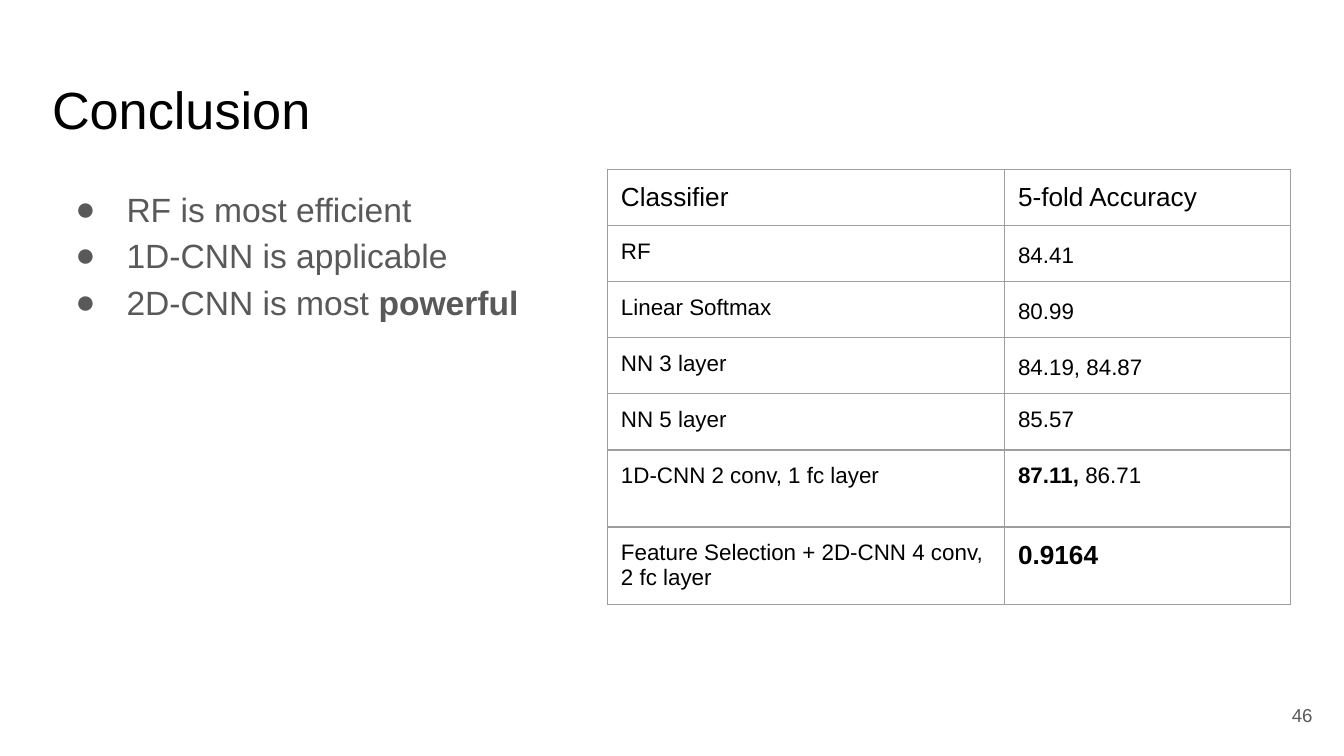
"""Build the conclusion slide with its findings and accuracy table."""
from dataclasses import dataclass
from typing import Any

from lxml import etree
from pptx import Presentation
from pptx.dml.color import RGBColor
from pptx.enum.text import MSO_ANCHOR, MSO_AUTO_SIZE, PP_ALIGN
from pptx.oxml.ns import qn
from pptx.util import Inches, Pt

TOP, MIDDLE = MSO_ANCHOR.TOP, MSO_ANCHOR.MIDDLE
LEFT, RIGHT = PP_ALIGN.LEFT, PP_ALIGN.RIGHT
FIXED = MSO_AUTO_SIZE.NONE
WIDE, HIGH = Pt(720), Pt(405)
PAD = Inches(0.1)


@dataclass(frozen=True)
class Theme:
    """Hold the colours and type sizes."""
    font: str = "Arial"
    ink: str = "000000"
    soft: str = "595959"
    rule: str = "9E9E9E"
    title: int = 28
    body: int = 18
    head: int = 14
    cell: int = 12
    page: int = 10


@dataclass(frozen=True)
class Box:
    """Place an area in percent of the slide."""
    left: float
    top: float
    width: float
    height: float

    def place(self, shape: Any) -> None:
        """Move a shape onto this area."""
        spots = {"left": WIDE * self.left, "top": HIGH * self.top,
                 "width": WIDE * self.width, "height": HIGH * self.height}
        for name, value in spots.items():
            setattr(shape, name, round(value / 100))


@dataclass(frozen=True)
class Run:
    """Describe a stretch of text."""
    text: str
    size: int
    color: str
    bold: bool = False


@dataclass(frozen=True)
class Cell:
    """Describe a table cell."""
    runs: tuple[Run, ...]
    lead: float = 1.0


LOOK = Theme()


def body(text: str, bold: bool = False) -> Run:
    """Make a run of a finding."""
    return Run(text, LOOK.body, LOOK.soft, bold)


def data(text: str, size: int = LOOK.cell, bold: bool = False) -> Run:
    """Make a run of a table cell."""
    return Run(text, size, LOOK.ink, bold)


def plain(text: str, lead: float = 1.0) -> Cell:
    """Make a cell of one regular run."""
    return Cell((data(text),), lead)


POINTS = [(body("RF is most efficient"),),
          (body("1D-CNN is applicable"),),
          (body("2D-CNN is most "), body("powerful", True))]
ROWS = [
    (Cell((data("Classifier", LOOK.head),)), Cell((data("5-fold Accuracy", LOOK.head),))),
    (plain("RF"), plain("84.41", 1.15)),
    (plain("Linear Softmax"), plain("80.99", 1.15)),
    (plain("NN 3 layer"), plain("84.19, 84.87", 1.15)),
    (plain("NN 5 layer"), plain("85.57")),
    (plain("1D-CNN 2 conv, 1 fc layer"), Cell((data("87.11, ", bold=True), data("86.71")))),
    (plain("Feature Selection + 2D-CNN 4 conv, 2 fc layer"),
     Cell((data("0.9164", LOOK.head, True),))),
]
COLS = (29.55, 21.3)
TALL = (7.42,) * 5 + (10.2,) * 2


def write(para: Any, runs: tuple[Run, ...], lead: float = 1.0, align: Any = LEFT) -> None:
    """Fill a paragraph with runs."""
    para.line_spacing, para.alignment = lead, align
    for run in runs:
        part = para.add_run()
        part.text = run.text
        for name, value in {"name": LOOK.font, "size": Pt(run.size), "bold": run.bold}.items():
            setattr(part.font, name, value)
        part.font.color.rgb = RGBColor.from_string(run.color)


def frame(shape: Any, box: Box, anchor: Any = TOP) -> Any:
    """Place a text shape and return its formatted frame."""
    box.place(shape)
    text = shape.text_frame
    style = {"word_wrap": True, "auto_size": FIXED, "vertical_anchor": anchor,
             "margin_left": PAD, "margin_right": PAD, "margin_top": PAD, "margin_bottom": PAD}
    for name, value in style.items():
        setattr(text, name, value)
    return text


def bullet(para: Any) -> None:
    """Give a paragraph a hanging round bullet."""
    props = para._p.get_or_add_pPr()
    props.set("marL", str(Inches(0.5)))
    props.set("indent", str(-Inches(0.38)))
    tint = etree.SubElement(props, qn("a:buClr"))
    etree.SubElement(tint, qn("a:srgbClr"), val=LOOK.soft)
    etree.SubElement(props, qn("a:buFont"), typeface=LOOK.font)
    etree.SubElement(props, qn("a:buChar"), char="●")


def border(cell: Any) -> None:
    """Rule all four sides of a cell."""
    props = cell._tc.get_or_add_tcPr()
    for side in "LRTB":
        line = etree.SubElement(props, qn(f"a:ln{side}"), w=str(Pt(0.75)))
        fill = etree.SubElement(line, qn("a:solidFill"))
        etree.SubElement(fill, qn("a:srgbClr"), val=LOOK.rule)


def grid(slide: Any, left: float, top: float) -> None:
    """Draw the accuracy table."""
    shape = slide.shapes.add_table(len(ROWS), len(COLS), 0, 0, WIDE, HIGH)
    Box(left, top, sum(COLS), sum(TALL)).place(shape)
    table = shape.table
    table.first_row = table.horz_banding = False
    for col, share in zip(table.columns, COLS):
        col.width = round(WIDE * share / 100)
    for row, share, items in zip(table.rows, TALL, ROWS):
        row.height = round(HIGH * share / 100)
        for cell, item in zip(row.cells, items):
            for side in ("left", "right", "top", "bottom"):
                setattr(cell, f"margin_{side}", PAD)
            border(cell)
            cell.fill.background()
            write(cell.text_frame.paragraphs[0], item.runs, item.lead)


def main() -> None:
    """Build and save the slide."""
    deck = Presentation()
    deck.slide_width, deck.slide_height = WIDE, HIGH
    slide = deck.slides.add_slide(deck.slide_layouts[5])
    title = frame(slide.shapes.title, Box(2.87, 8.4, 93.2, 11.2))
    write(title.paragraphs[0], (Run("Conclusion", LOOK.title, LOOK.ink),))
    notes = frame(slide.shapes.add_textbox(0, 0, WIDE, HIGH), Box(3.43, 22.4, 40.9, 66.5))
    for rank, runs in enumerate(POINTS):
        para = notes.add_paragraph() if rank else notes.paragraphs[0]
        write(para, runs, 1.15)
        bullet(para)
    grid(slide, 45.2, 22.4)
    page = frame(slide.shapes.add_textbox(0, 0, WIDE, HIGH), Box(92.65, 90.7, 6, 7.65), MIDDLE)
    write(page.paragraphs[0], (Run("46", LOOK.page, LOOK.soft),), align=RIGHT)
    deck.save("out.pptx")


if __name__ == "__main__":
    main()
